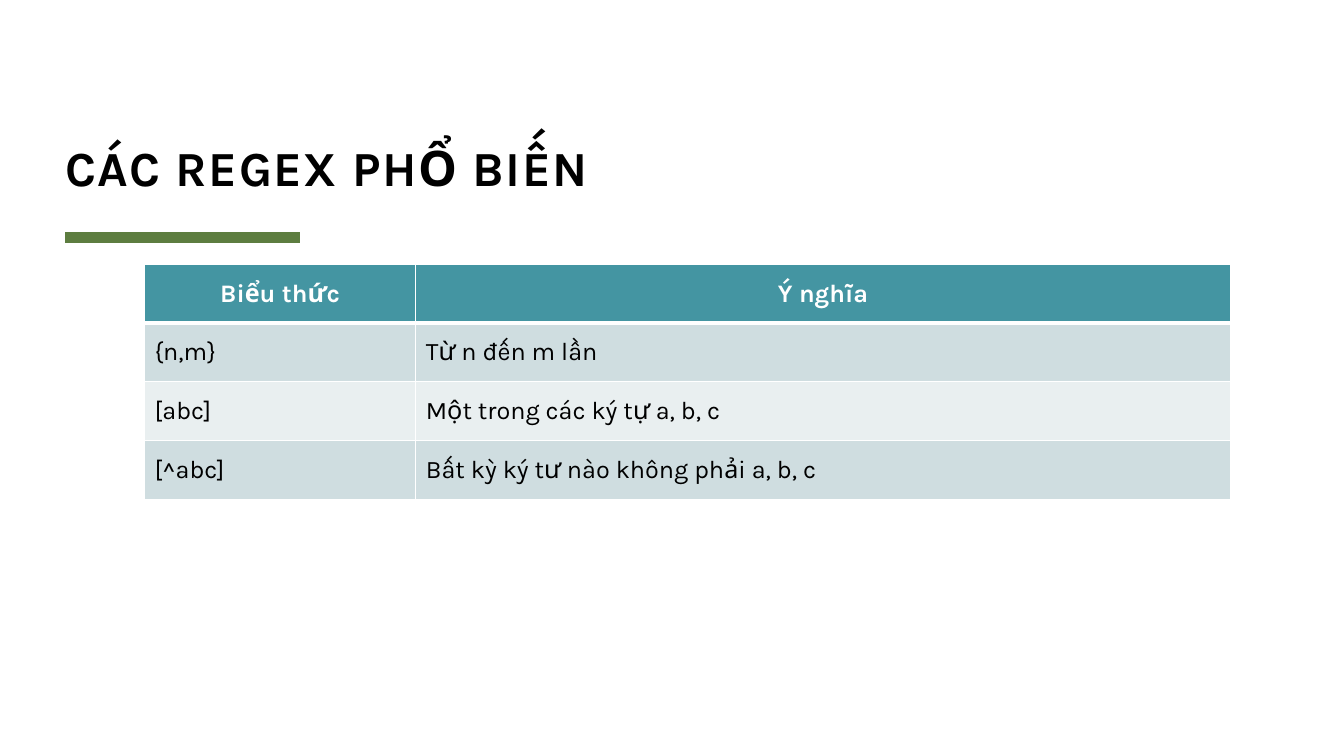
from dataclasses import dataclass

from lxml import etree
from pptx import Presentation
from pptx.dml.color import RGBColor
from pptx.enum.shapes import MSO_CONNECTOR
from pptx.enum.text import MSO_ANCHOR, PP_ALIGN
from pptx.oxml.ns import qn
from pptx.util import Cm, Pt

LEFT, CENTER = PP_ALIGN.LEFT, PP_ALIGN.CENTER
MIDDLE, BOTTOM = MSO_ANCHOR.MIDDLE, MSO_ANCHOR.BOTTOM
STRAIGHT = MSO_CONNECTOR.STRAIGHT

TITLE = "CÁC REGEX PHỔ BIẾN"
ROWS = [
    ("Biểu thức", "Ý nghĩa"),
    ("{n,m}", "Từ n đến m lần"),
    ("[abc]", "Một trong các ký tự a, b, c"),
    ("[^abc]", "Bất kỳ ký tư nào không phải a, b, c"),
]


@dataclass(frozen=True)
class Theme:
    font: str = "Karla"
    title: int = 35
    body: int = 18
    black: str = "000000"
    white: str = "FFFFFF"
    green: str = "5D7D40"
    head: str = "4495A2"
    bands: tuple = ("CFDDE0", "E9EFF0")


THEME = Theme()
MARGIN = 1.65
COLS = (6.84, 20.52)
ROW_H = 1.48
TABLE_X, TABLE_Y = 3.64, 6.66


def color(code):
    return RGBColor.from_string(code)


def write(frame, text, size=THEME.body, ink=THEME.black, bold=False,
          align=LEFT, lines=None, track=0):
    """Fill a text frame with one paragraph; track is letter spacing in points."""
    para = frame.paragraphs[0]
    para.alignment = align
    if lines:
        para.line_spacing = lines
    run = para.add_run()
    run.text = text
    font = run.font
    font.name, font.size, font.bold = THEME.font, Pt(size), bold
    font.color.rgb = color(ink)
    if track:
        run._r.get_or_add_rPr().set("spc", str(track * 100))


def edge(cell, side, width):
    """Draw a white border on one side (L, R, T or B) of a cell."""
    line = etree.SubElement(cell._tc.get_or_add_tcPr(), qn(f"a:ln{side}"),
                            w=str(Pt(width)))
    fill = etree.SubElement(line, qn("a:solidFill"))
    etree.SubElement(fill, qn("a:srgbClr"), val=THEME.white)


def add_title(slide):
    box = slide.shapes.add_textbox(Cm(MARGIN), Cm(1.63), Cm(30.48), Cm(3.3))
    frame = box.text_frame
    frame.word_wrap = True
    frame.vertical_anchor = BOTTOM
    frame.margin_left = frame.margin_right = 0
    frame.margin_top = frame.margin_bottom = 0
    write(frame, TITLE, size=THEME.title, bold=True, lines=0.8, track=1)


def add_rule(slide):
    y = Cm(5.98)
    rule = slide.shapes.add_connector(STRAIGHT, Cm(MARGIN), y, Cm(7.57), y)
    rule.line.color.rgb = color(THEME.green)
    rule.line.width = Pt(8)
    etree.SubElement(rule._element.spPr, qn("a:effectLst"))


def add_grid(slide):
    table = slide.shapes.add_table(
        len(ROWS), len(COLS), Cm(TABLE_X), Cm(TABLE_Y),
        Cm(sum(COLS)), Cm(ROW_H * len(ROWS))).table
    for col, width in zip(table.columns, COLS):
        col.width = Cm(width)
    for r, texts in enumerate(ROWS):
        table.rows[r].height = Cm(ROW_H)
        head = r == 0
        back = THEME.head if head else THEME.bands[(r - 1) % 2]
        widths = {"L": 1, "R": 1, "T": 3 if r == 1 else 1, "B": 3 if head else 1}
        for c, text in enumerate(texts):
            cell = table.cell(r, c)
            cell.vertical_anchor = MIDDLE
            for side, width in widths.items():
                edge(cell, side, width)
            cell.fill.solid()
            cell.fill.fore_color.rgb = color(back)
            write(cell.text_frame, text, bold=head,
                  ink=THEME.white if head else THEME.black,
                  align=CENTER if head else LEFT)


def main():
    deck = Presentation()
    deck.slide_width, deck.slide_height = Cm(33.87), Cm(19.05)
    slide = deck.slides.add_slide(deck.slide_layouts[6])
    add_rule(slide)
    add_title(slide)
    add_grid(slide)
    deck.save("out.pptx")


if __name__ == "__main__":
    main()
